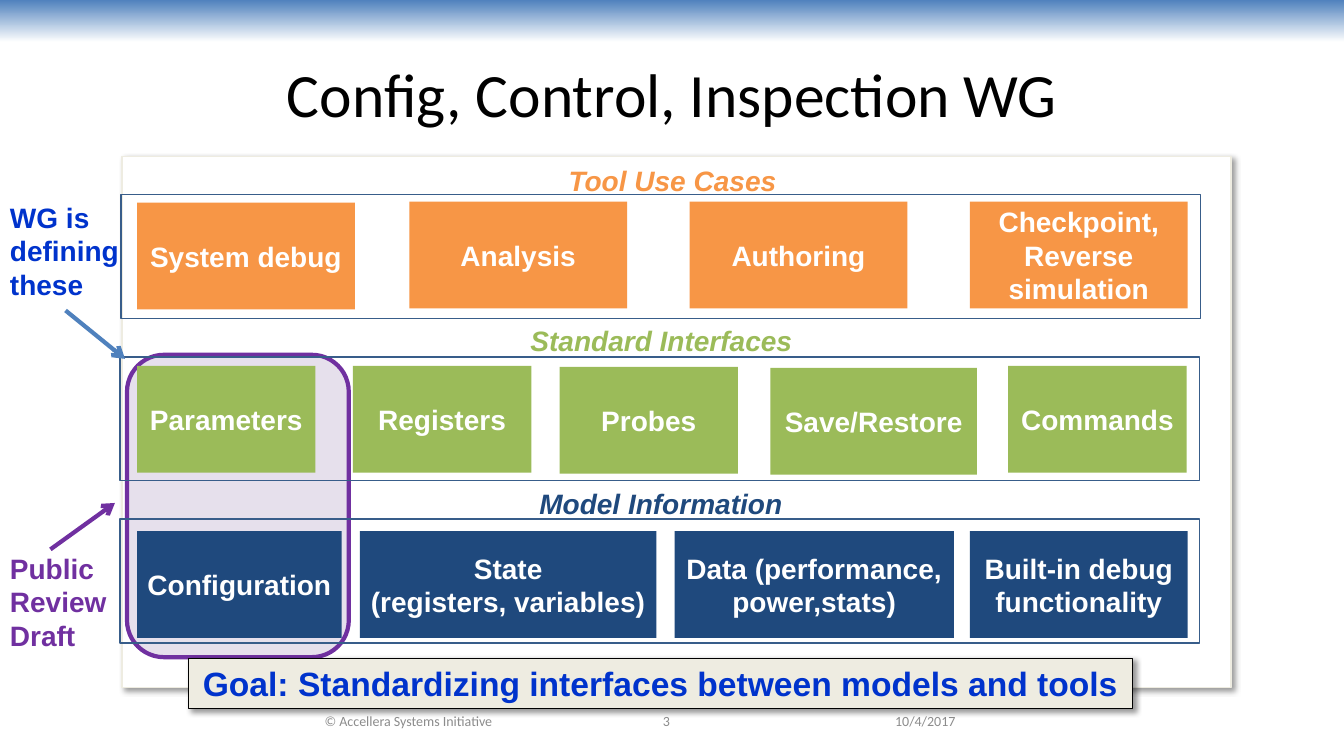
"""Build the slide on the configuration, control and inspection working group."""
from dataclasses import dataclass

from lxml import etree
from pptx import Presentation
from pptx.dml.color import RGBColor
from pptx.enum.shapes import MSO_CONNECTOR, MSO_SHAPE
from pptx.enum.text import MSO_ANCHOR, PP_ALIGN
from pptx.oxml.ns import qn
from pptx.util import Inches, Pt

RECT, ROUNDED = MSO_SHAPE.RECTANGLE, MSO_SHAPE.ROUNDED_RECTANGLE
STRAIGHT = MSO_CONNECTOR.STRAIGHT
LEFT, CENTER = PP_ALIGN.LEFT, PP_ALIGN.CENTER
TOP, MIDDLE = MSO_ANCHOR.TOP, MSO_ANCHOR.MIDDLE
TITLE_ONLY = 5


@dataclass(frozen=True)
class Theme:
    """Colours, fonts and type sizes of the slide."""
    white: str = "FFFFFF"
    black: str = "000000"
    sky: str = "4F81BD"
    cream: str = "EEECE1"
    orange: str = "F79646"
    green: str = "9BBB59"
    navy: str = "1F497D"
    frame: str = "385D8A"
    purple: str = "7030A0"
    lilac: str = "E6E0EC"
    blue: str = "0033CC"
    gray: str = "8C8C8C"
    heading_font: str = "Calibri"
    body_font: str = "Arial"
    title_size: int = 44
    goal_size: int = 24
    body_size: int = 20
    footer_size: int = 10


THEME = Theme()
CARD_HEIGHT = 1.06
LAYERS = [
    ("Tool Use Cases", THEME.orange, (5.53, 1.57, 2.28), (1.2, 1.93), [
        ("System debug", 1.36, 2.01, 2.16),
        ("Analysis", 4.06, 2, 2.16),
        ("Authoring", 6.84, 2, 2.16),
        ("Checkpoint, Reverse simulation", 9.62, 2, 2.16)]),
    ("Standard Interfaces", THEME.green, (5.15, 3.16, 2.82), (1.19, 3.54), [
        ("Parameters", 1.36, 3.63, 1.77),
        ("Registers", 3.5, 3.63, 1.77),
        ("Probes", 5.55, 3.64, 1.77),
        ("Save/Restore", 7.64, 3.65, 2.05),
        ("Commands", 10, 3.63, 1.77)]),
    ("Model Information", THEME.navy, (5.24, 4.78, 2.63), (1.19, 5.15), [
        ("Configuration", 1.36, 5.27, 2.03),
        ("State\n(registers, variables)", 3.57, 5.27, 2.94),
        ("Data (performance, power,stats)", 6.69, 5.27, 2.77),
        ("Built-in debug functionality", 9.62, 5.27, 2.16)]),
]


def rgb(code):
    """Turn a hex code into a colour."""
    return RGBColor.from_string(code)


def box(left, top, width, height):
    """Return the four lengths of a box given in inches."""
    return [Inches(n) for n in (left, top, width, height)]


def write(frame, text, size=THEME.body_size, color=THEME.white,
          font=THEME.body_font, bold=True, italic=False, align=CENTER,
          anchor=MIDDLE, inset=0.05):
    """Write formatted text into a text frame."""
    frame.word_wrap = True
    frame.vertical_anchor = anchor
    frame.margin_left = frame.margin_right = Inches(inset)
    paragraph = frame.paragraphs[0]
    paragraph.text = text
    paragraph.alignment = align
    for run in paragraph.runs:
        run.font.size = Pt(size)
        run.font.name = font
        run.font.bold = bold
        run.font.italic = italic
        run.font.color.rgb = rgb(color)


def add_label(slide, text, bounds, **style):
    """Add free-standing text."""
    write(slide.shapes.add_textbox(*box(*bounds)).text_frame, text, **style)


def add_panel(slide, bounds, fill=None, line=None, width=1, kind=RECT):
    """Add a shape with a plain fill and outline, either of them optional."""
    panel = slide.shapes.add_shape(kind, *box(*bounds))
    panel.shadow.inherit = False
    if fill:
        panel.fill.solid()
        panel.fill.fore_color.rgb = rgb(fill)
    else:
        panel.fill.background()
    if line:
        panel.line.color.rgb = rgb(line)
        panel.line.width = Pt(width)
    else:
        panel.line.fill.background()
    return panel


def cast_shadow(panel):
    """Give a panel a soft shadow to the lower right."""
    effects = panel._element.spPr.find(qn("a:effectLst"))
    shadow = etree.SubElement(
        effects, qn("a:outerShdw"), blurRad=str(Pt(4)), dist=str(Pt(3)),
        dir="2700000", algn="tl", rotWithShape="0")
    tint = etree.SubElement(shadow, qn("a:srgbClr"), val=THEME.black)
    etree.SubElement(tint, qn("a:alpha"), val="40000")


def add_arrow(slide, start, end, color):
    """Add a straight arrow between two points."""
    arrow = slide.shapes.add_connector(
        STRAIGHT, *[Inches(n) for n in (*start, *end)])
    arrow.line.color.rgb = rgb(color)
    arrow.line.width = Pt(3)
    properties = arrow._element.spPr
    etree.SubElement(properties.find(qn("a:ln")), qn("a:tailEnd"), type="arrow")
    etree.SubElement(properties, qn("a:effectLst"))


def add_band(slide):
    """Add the fading band along the top edge."""
    band = add_panel(slide, (0, 0, 13.33, 0.42))
    band.fill.gradient()
    band.fill.gradient_angle = 270
    for stop, color in zip(band.fill.gradient_stops, (THEME.sky, THEME.white)):
        stop.color.rgb = rgb(color)


def add_title(slide, text):
    """Place the title."""
    title = slide.shapes.title
    title.left, title.top, title.width, title.height = box(0.67, 0.3, 12, 1.25)
    write(title.text_frame, text, size=THEME.title_size, color=THEME.black,
          font=THEME.heading_font, bold=False)


def add_layer(slide, heading, color, heading_spot, frame_spot, cards):
    """Add one layer: its heading, cards and frame."""
    add_label(slide, heading, (*heading_spot, 0.39), color=color, italic=True,
              anchor=TOP)
    for text, left, top, width in cards:
        card = add_panel(slide, (left, top, width, CARD_HEIGHT), fill=color)
        write(card.text_frame, text)
    add_panel(slide, (*frame_spot, 10.71, 1.23), line=THEME.frame)


def add_footer(slide):
    """Add the copyright line, slide number and date."""
    for text, left, width, align in (
            ("© Accellera Systems Initiative", 2.44, 3.22, CENTER),
            ("3", 5.33, 2.56, CENTER),
            ("10/4/2017", 8.78, 1.56, LEFT)):
        add_label(slide, text, (left, 6.95, width, 0.4), align=align,
                  size=THEME.footer_size, color=THEME.gray, bold=False,
                  font=THEME.heading_font, inset=0.1)


def main():
    """Build and save the slide."""
    deck = Presentation()
    deck.slide_width, deck.slide_height = Inches(13.33), Inches(7.5)
    slide = deck.slides.add_slide(deck.slide_layouts[TITLE_ONLY])
    add_band(slide)
    add_title(slide, "Config, Control, Inspection WG")
    cast_shadow(add_panel(slide, (1.21, 1.55, 11, 5.27), THEME.white, THEME.cream))
    add_footer(slide)

    add_panel(slide, (1.26, 3.52, 2.2, 3), THEME.lilac, THEME.purple, 3, ROUNDED)
    add_label(slide, "Public\nReview\nDraft", (0, 5.42, 1.29, 1.11),
              color=THEME.purple, align=LEFT, anchor=TOP, inset=0.1)
    add_arrow(slide, (0.5, 5.45), (1.14, 4.99), THEME.purple)
    for layer in LAYERS:
        add_layer(slide, *layer)
    add_label(slide, "WG is\ndefining\nthese", (0, 1.93, 1.35, 1.11),
              color=THEME.blue, align=LEFT, inset=0.1)
    add_arrow(slide, (0.65, 3.08), (1.24, 3.56), THEME.sky)

    goal = add_panel(slide, (1.87, 6.53, 9.36, 0.5), THEME.cream, THEME.black, 0.75)
    cast_shadow(goal)
    write(goal.text_frame, "Goal: Standardizing interfaces between models and tools",
          size=THEME.goal_size, color=THEME.blue)
    deck.save("out.pptx")


if __name__ == "__main__":
    main()
